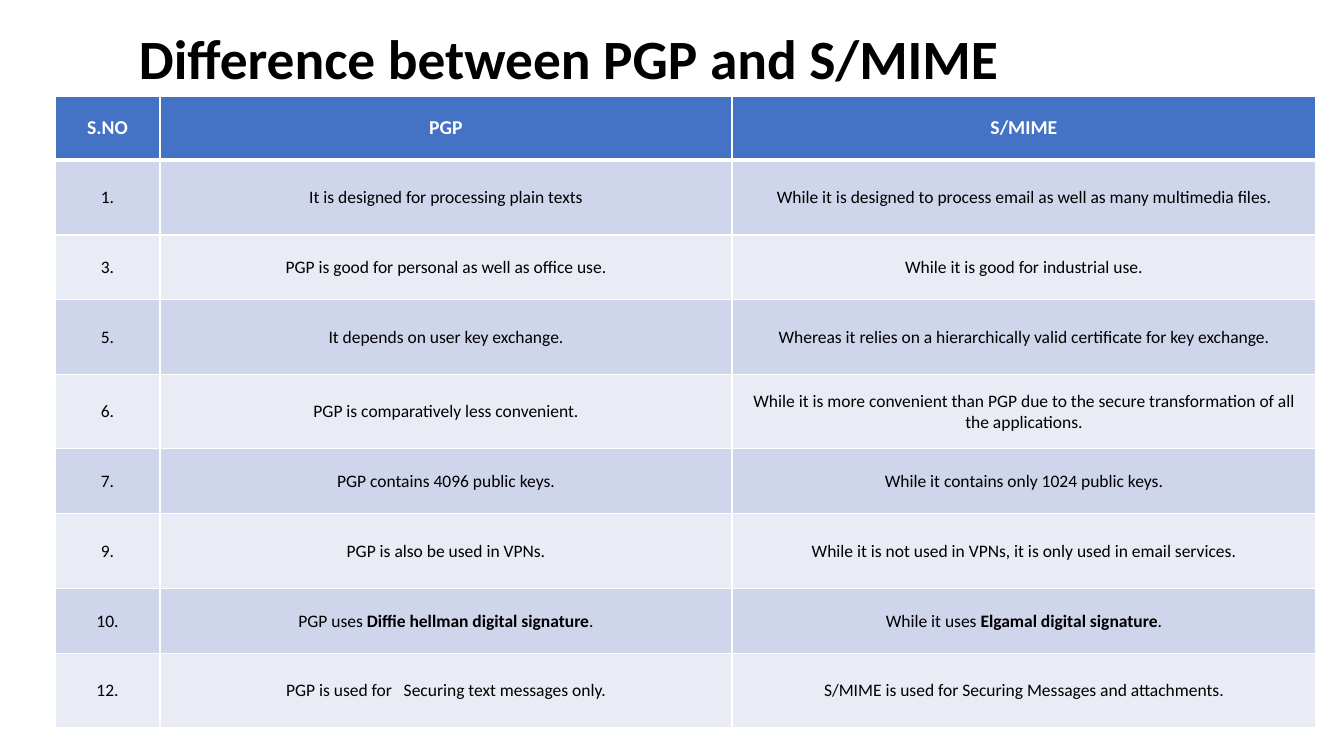
from lxml.etree import SubElement
from pptx import Presentation
from pptx.dml.color import RGBColor
from pptx.enum.text import MSO_ANCHOR as Anchor, PP_ALIGN as Align
from pptx.oxml.ns import qn
from pptx.util import Emu, Pt


def px(n):
    return Emu(round(n * 914400 / 100.8))


def add_run(para, text, size, color, bold):
    run = para.add_run()
    run.text = text
    font = run.font
    font.name = "Calibri"
    font.size = Pt(size)
    font.bold = bold
    font.color.rgb = RGBColor.from_string(color)


deck = Presentation()
deck.slide_width, deck.slide_height = px(1344), px(756)
slide = deck.slides.add_slide(deck.slide_layouts[6])

title = slide.shapes.add_textbox(px(129), px(27), px(1159), px(70)).text_frame
title.word_wrap = True
title.vertical_anchor = Anchor.MIDDLE
title.paragraphs[0].line_spacing = 0.9
add_run(title.paragraphs[0], "Difference between PGP and S/MIME", 39.6, "000000", True)

rows = [
    ("S.NO", "PGP", "S/MIME"),
    ("1.", "It is designed for processing plain texts",
     "While it is designed to process email as well as many multimedia files."),
    ("3.", "PGP is good for personal as well as office use.",
     "While it is good for industrial use."),
    ("5.", "It depends on user key exchange.",
     "Whereas it relies on a hierarchically valid certificate for key exchange."),
    ("6.", "PGP is comparatively less convenient.",
     "While it is more convenient than PGP due to the secure transformation of all the applications."),
    ("7.", "PGP contains 4096 public keys.",
     "While it contains only 1024 public keys."),
    ("9.", "PGP is also be used in VPNs.",
     "While it is not used in VPNs, it is only used in email services."),
    ("10.", "PGP uses *Diffie hellman digital signature*.",
     "While it uses *Elgamal digital signature*."),
    ("12.", "PGP is used for   Securing text messages only.",
     "S/MIME is used for Securing Messages and attachments."),
]
widths = [105, 572, 584]
heights = [64, 75, 65, 75, 74, 65, 75, 65, 74]

table = slide.shapes.add_table(
    len(rows), len(widths), px(55), px(96), px(sum(widths)), px(sum(heights))).table
for col, width in zip(table.columns, widths):
    col.width = px(width)

for r, (row, height) in enumerate(zip(rows, heights)):
    table.rows[r].height = px(height)
    head = r == 0
    fill = "4472C4" if head else ("E9EBF5", "CFD5EA")[r % 2]
    size, color = (14, "FFFFFF") if head else (12.5, "000000")
    for c, text in enumerate(row):
        cell = table.cell(r, c)
        cell.vertical_anchor = Anchor.MIDDLE
        cell.margin_left = cell.margin_right = px(4 if head and c == 0 else 8)
        cell.margin_top = cell.margin_bottom = px(8 if head else 12)

        props = cell._tc.get_or_add_tcPr()
        for side in "LRTB":
            thick = (r, side) in ((0, "B"), (1, "T"))
            line = SubElement(props, qn("a:ln" + side), w=str(Pt(3 if thick else 1)))
            solid = SubElement(line, qn("a:solidFill"))
            SubElement(solid, qn("a:srgbClr"), val="FFFFFF")
        cell.fill.solid()
        cell.fill.fore_color.rgb = RGBColor.from_string(fill)

        para = cell.text_frame.paragraphs[0]
        para.alignment = Align.CENTER
        for i, part in enumerate(text.split("*")):
            add_run(para, part, size, color, head or i == 1)

deck.save("out.pptx")
